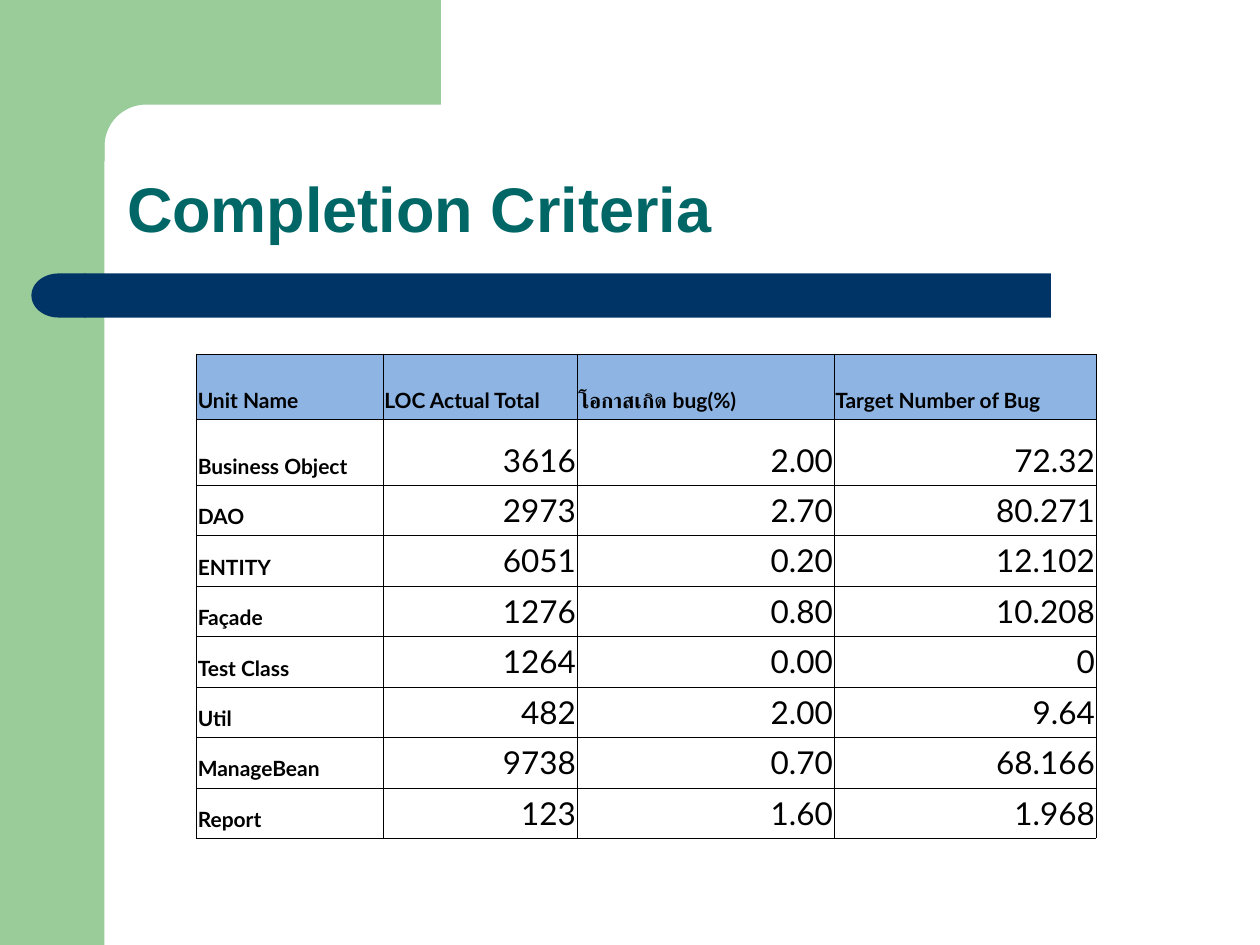
from dataclasses import dataclass
from math import cos, pi, sin

from lxml.etree import SubElement
from pptx import Presentation
from pptx.dml.color import RGBColor
from pptx.enum.shapes import MSO_SHAPE
from pptx.enum.text import MSO_ANCHOR, PP_ALIGN
from pptx.oxml.ns import qn
from pptx.util import Inches, Pt


@dataclass(frozen=True)
class Theme:
    green: str = "99CC99"
    navy: str = "003366"
    teal: str = "006666"
    header_blue: str = "8DB4E3"
    black: str = "000000"
    title_font: str = "Arial"
    table_font: str = "Lato"
    title_size: float = 36
    label_size: float = 12
    value_size: float = 18
    border_width: float = 0.23
    header_border_width: float = 0.45


THEME = Theme()

HEADERS = ["Unit Name", "LOC Actual Total", "โอกาสเกิด bug(%)", "Target Number of Bug"]
UNITS = [
    ["Business Object", "3616", "2.00", "72.32"],
    ["DAO", "2973", "2.70", "80.271"],
    ["ENTITY", "6051", "0.20", "12.102"],
    ["Façade", "1276", "0.80", "10.208"],
    ["Test Class", "1264", "0.00", "0"],
    ["Util", "482", "2.00", "9.64"],
    ["ManageBean", "9738", "0.70", "68.166"],
    ["Report", "123", "1.60", "1.968"],
]
COLUMN_WIDTHS = [1.48, 1.54, 2.04, 2.08]
ROW_HEIGHTS = [0.52, 0.52] + [0.4] * (len(UNITS) - 1)


def paint(shape, color):
    shape.shadow.inherit = False
    shape.fill.solid()
    shape.fill.fore_color.rgb = RGBColor.from_string(color)
    shape.line.fill.background()


def add_block(slide, kind, left, top, width, height, color):
    shape = slide.shapes.add_shape(
        kind, Inches(left), Inches(top), Inches(width), Inches(height)
    )
    paint(shape, color)
    return shape


def add_corner(slide):
    center, radius, steps = 1.16, 0.33, 16
    angles = [pi / 2 * step / steps for step in range(steps + 1)]
    curve = [(center - radius * sin(a), center - radius * cos(a)) for a in angles]
    points = [(3.5, 0), (3.5, 0.83), *curve, (0.83, 1.28), (0.5, 1.28), (0.5, 0)]
    start, *rest = [(Inches(x), Inches(y)) for x, y in points]
    builder = slide.shapes.build_freeform(*start)
    builder.add_line_segments(rest, close=True)
    paint(builder.convert_to_shape(), THEME.green)


def style_paragraph(paragraph, font_name, size, color, bold):
    font = paragraph.font
    font.name = font_name
    font.size = Pt(size)
    font.bold = bold
    font.color.rgb = RGBColor.from_string(color)


def add_title(slide, text):
    box = slide.shapes.add_textbox(Inches(0.91), Inches(0.91), Inches(8.51), Inches(1.09))
    frame = box.text_frame
    frame.word_wrap = True
    frame.vertical_anchor = MSO_ANCHOR.BOTTOM
    paragraph = frame.paragraphs[0]
    paragraph.text = text
    paragraph.line_spacing = 0.9
    style_paragraph(paragraph, THEME.title_font, THEME.title_size, THEME.teal, True)


def set_borders(cell, top, bottom):
    properties = cell._tc.get_or_add_tcPr()
    side = THEME.border_width
    widths = {"a:lnL": side, "a:lnR": side, "a:lnT": top, "a:lnB": bottom}
    for index, (tag, width) in enumerate(widths.items()):
        line = SubElement(properties, qn(tag), w=str(Pt(width)))
        fill = SubElement(line, qn("a:solidFill"))
        SubElement(fill, qn("a:srgbClr"), val=THEME.black)
        properties.insert(index, line)


def fill_cell(cell, text, row, column):
    is_header = row == 0
    is_label = is_header or column == 0
    cell.margin_left = cell.margin_right = Inches(0.01)
    cell.margin_top = cell.margin_bottom = Inches(0.05)
    cell.vertical_anchor = MSO_ANCHOR.BOTTOM
    if is_header:
        cell.fill.solid()
        cell.fill.fore_color.rgb = RGBColor.from_string(THEME.header_blue)
    else:
        cell.fill.background()
    paragraph = cell.text_frame.paragraphs[0]
    paragraph.text = text
    paragraph.alignment = PP_ALIGN.LEFT if is_label else PP_ALIGN.RIGHT
    size = THEME.label_size if is_label else THEME.value_size
    style_paragraph(paragraph, THEME.table_font, size, THEME.black, is_label)
    set_borders(
        cell,
        top=THEME.header_border_width if row == 1 else THEME.border_width,
        bottom=THEME.header_border_width if is_header else THEME.border_width,
    )


def add_criteria_table(slide):
    rows = [HEADERS, *UNITS]
    frame = slide.shapes.add_table(
        len(rows), len(HEADERS), Inches(1.56), Inches(2.81),
        Inches(sum(COLUMN_WIDTHS)), Inches(sum(ROW_HEIGHTS)),
    )
    table = frame.table
    table.first_row = False
    table.horz_banding = False
    for column, width in zip(table.columns, COLUMN_WIDTHS):
        column.width = Inches(width)
    for row, height in zip(table.rows, ROW_HEIGHTS):
        row.height = Inches(height)
    for row, texts in enumerate(rows):
        for column, text in enumerate(texts):
            fill_cell(table.cell(row, column), text, row, column)


def main():
    presentation = Presentation()
    presentation.slide_width = Inches(10)
    presentation.slide_height = Inches(7.5)
    slide = presentation.slides.add_slide(presentation.slide_layouts[6])

    add_block(slide, MSO_SHAPE.RECTANGLE, 0, 0, 0.83, 7.5, THEME.green)
    add_corner(slide)
    bar = add_block(slide, MSO_SHAPE.ROUNDED_RECTANGLE, 0.67, 2.17, 7.67, 0.35, THEME.navy)
    bar.adjustments[0] = 0
    cap = add_block(slide, MSO_SHAPE.FLOWCHART_DELAY, 0.25, 2.17, 0.43, 0.35, THEME.navy)
    cap._element.spPr.xfrm.set("flipH", "1")
    add_title(slide, "Completion Criteria")
    add_criteria_table(slide)

    presentation.save("out.pptx")


if __name__ == "__main__":
    main()
